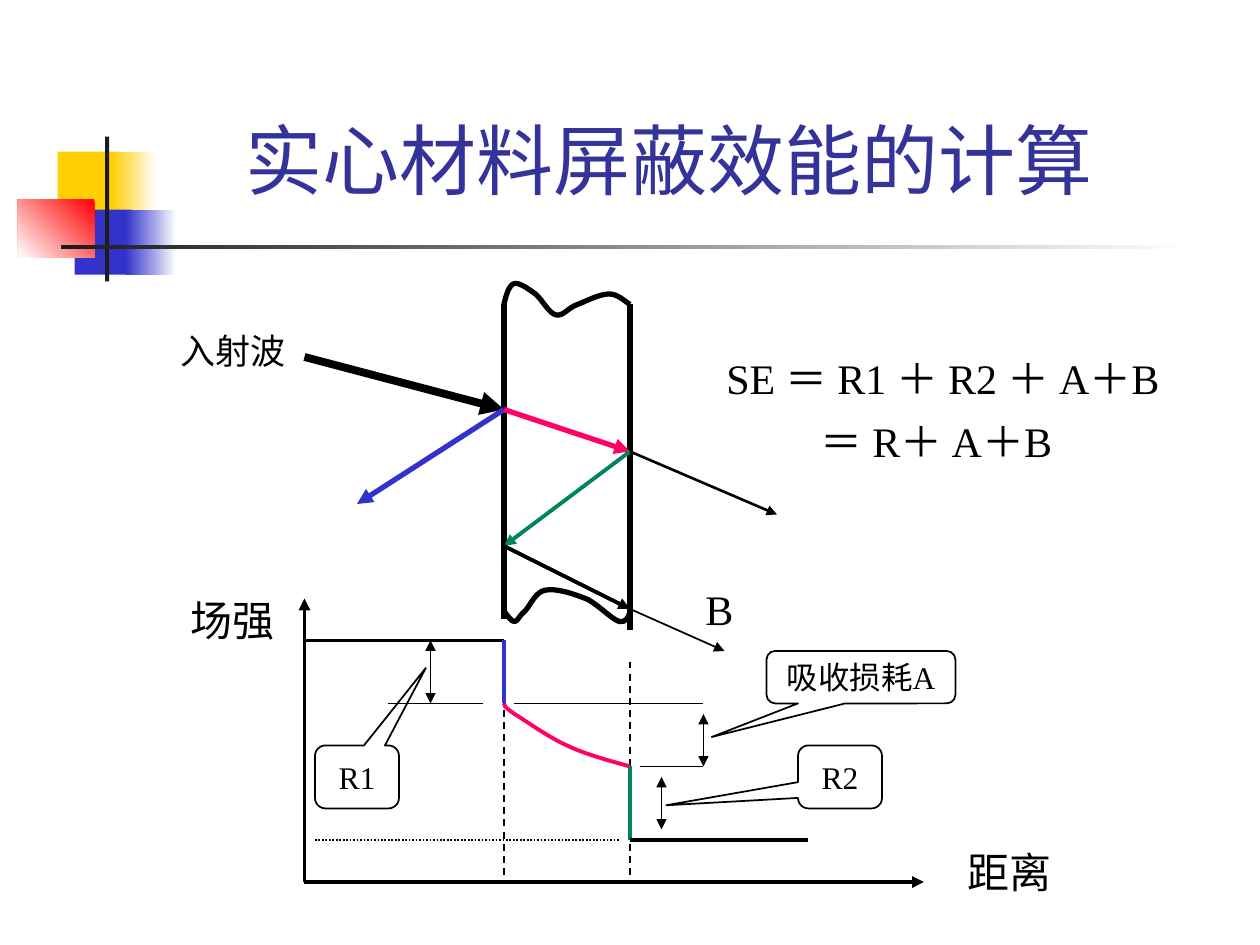
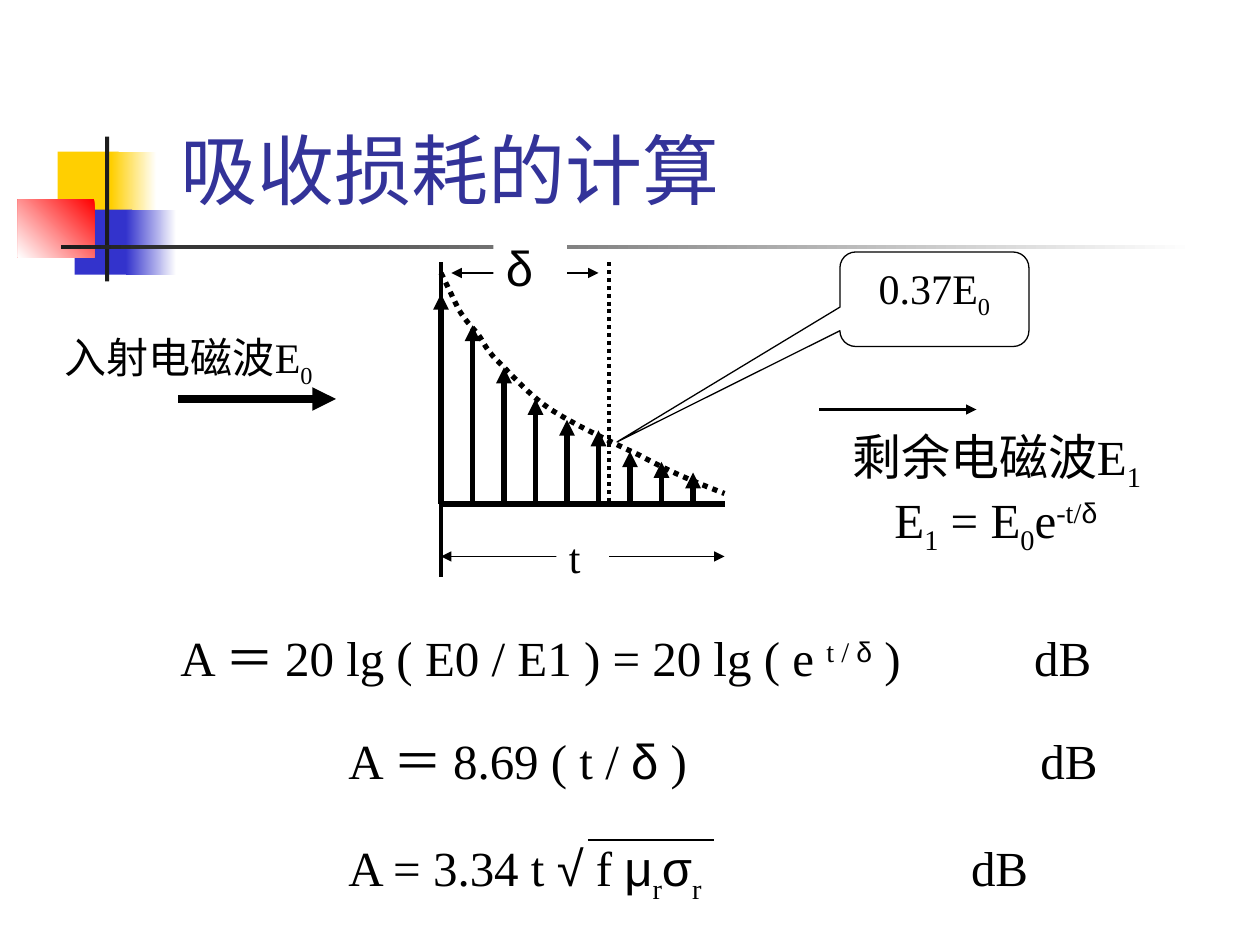
from lxml.etree import SubElement
from pptx import Presentation
from pptx.dml.color import RGBColor
from pptx.enum.dml import MSO_LINE
from pptx.enum.shapes import MSO_CONNECTOR, MSO_SHAPE
from pptx.enum.text import MSO_ANCHOR, PP_ALIGN
from pptx.oxml.ns import qn
from pptx.util import Inches, Pt

C = {
    "black": "000000", "white": "FFFFFF", "ink": "1C1C1C", "title": "333399",
    "yellow": "FFCF01", "blue": "3333CC", "red": "FF0000",
    "pink": "FF0066", "green": "008461",
}
C = {name: RGBColor.from_string(value) for name, value in C.items()}
BODY, SYMBOL, TITLE = "Times New Roman", "Arial", "Cabin"
SUB, SUP = -25000, 30000

prs = Presentation()
prs.slide_width, prs.slide_height = Inches(10), Inches(7.5)
U = prs.slide_width // 120  # the grid has 120 columns and 90 rows of square cells


def text(s, box, runs, size=24, font=BODY, color="black", fill=None, callout=None,
         border=1, anchor=MSO_ANCHOR.TOP, align=PP_ALIGN.LEFT, wrap=True, tab=None):
    """Add text in a box or callout; a run is a string or a (string, baseline) pair."""
    box = [round(v * U) for v in box]
    if callout:
        sp = s.shapes.add_shape(MSO_SHAPE.ROUNDED_RECTANGULAR_CALLOUT, *box)
        sp.shadow.inherit = False
        sp.fill.background()
        sp.adjustments[0], sp.adjustments[1] = callout
        sp.line.color.rgb = C["black"]
        sp.line.width = Pt(border)
    else:
        sp = s.shapes.add_textbox(*box)
    if fill:
        sp.fill.solid()
        sp.fill.fore_color.rgb = C[fill]
    tf = sp.text_frame
    tf.word_wrap, tf.vertical_anchor = wrap, anchor
    p = tf.paragraphs[0]
    p.alignment = align
    if tab:
        tabs = SubElement(p._p.get_or_add_pPr(), qn("a:tabLst"))
        SubElement(tabs, qn("a:tab"), pos=str(round(tab * U)), algn="l")
    for run in [runs] if isinstance(runs, str) else runs:
        words, baseline = (run, 0) if isinstance(run, str) else run
        r = p.add_run()
        r.text = words
        r.font.size = Pt(size)
        r.font.name = SYMBOL if words in "δμσ√" else font
        r.font.color.rgb = C[color]
        if baseline:
            r._r.get_or_add_rPr().set("baseline", str(baseline))


def line(s, *pts, color="black", width=1, dash=None, ends=""):
    """Join two points with a connector, or draw a chain of cubic curves."""
    pts = [(round(x * U), round(y * U)) for x, y in pts]
    if len(pts) == 2:
        sp = s.shapes.add_connector(MSO_CONNECTOR.STRAIGHT, *pts[0], *pts[1])
    else:
        builder = s.shapes.build_freeform(*pts[0])
        builder.add_line_segments(pts[1:], close=False)
        sp = builder.convert_to_shape()
        sp.fill.background()
        segments = list(sp._element.spPr.iter(qn("a:lnTo")))
        outline = segments[0].getparent()
        for i in range(0, len(segments), 3):
            curve = SubElement(outline, qn("a:cubicBezTo"))
            for segment in segments[i:i + 3]:
                curve.append(segment[0])
                outline.remove(segment)
    sp.line.color.rgb = C[color]
    sp.line.width = Pt(width)
    if dash:
        sp.line.dash_style = dash
    spPr = sp._element.spPr
    for end in ends.split():
        SubElement(spPr.find(qn("a:ln")), qn(f"a:{end}End"), type="triangle")
    SubElement(spPr, qn("a:effectLst"))


# Shared decoration and titles
DECOR = [  # box, colour, angle of the fade to white
    ((5.5, 14.45, 5.8, 6.2), "yellow", None),
    ((10.6, 14.45, 4.3, 6.2), "yellow", 0),
    ((7.1, 19.97, 5.5, 6.2), "blue", None),
    ((12, 19.97, 4.8, 6.2), "blue", 0),
    ((1.7, 19, 7.3, 5.5), "red", 225),
    ((10, 13, 0.4, 13.8), "ink", None),
    ((5.8, 23.35, 108, 0.4), "ink", 0),
]
slides = []
for title, left, top in [("实心材料屏蔽效能的计算", 22.2, 10), ("吸收损耗的计算", 16, 10.95)]:
    s = prs.slides.add_slide(prs.slide_layouts[6])
    slides.append(s)
    for box, color, angle in DECOR:
        sp = s.shapes.add_shape(MSO_SHAPE.RECTANGLE, *(round(v * U) for v in box))
        sp.shadow.inherit = False
        sp.line.fill.background()
        if angle is None:
            sp.fill.solid()
            sp.fill.fore_color.rgb = C[color]
        else:
            sp.fill.gradient()
            sp.fill.gradient_angle = angle
            for stop, shade in zip(sp.fill.gradient_stops, (color, "white")):
                stop.color.rgb = C[shade]
    text(s, (left, top, 90, 10.08), title, size=44, font=TITLE, color="title",
         anchor=MSO_ANCHOR.BOTTOM)

# Slide 1: reflections in a solid shield and the field strength below
s = slides[0]
FRONT, BACK = 48, 60  # faces of the shield
AXIS_X, AXIS_Y = 29, 84
INCOMING, ENTERED, ABSORBED, LEAVING = 61, 67, 73, 80  # field levels

line(s, (FRONT, 29), (FRONT, 59), width=3)
line(s, (BACK, 29), (BACK, 60), width=3)
line(s, (48, 29), (48.2, 28.1), (48.5, 27.1), (49, 27), (49.5, 26.9), (50.3, 27.5), (51, 28),
     (51.7, 28.6), (52.3, 29.9), (53, 30), (53.7, 30.1), (54.1, 29.3), (55, 29),
     (55.8, 28.7), (57.1, 28), (58, 28), (58.8, 28), (59.4, 28.6), (60, 29), width=3)
line(s, (48, 58.2), (48.4, 58.7), (48.7, 59.2), (49, 59.2), (49.3, 59.2), (49.4, 58.7),
     (50, 58.2), (50.5, 57.7), (51, 56.3), (52, 56.2), (53, 56), (54.8, 56.6), (56, 57.1),
     (57.1, 57.7), (58.3, 59), (59, 59.2), (59.6, 59.3), (59.9, 58.8), (60, 58.2), width=3)

for start, end, color, width in [
    ((AXIS_X, 34), (FRONT, 39), "black", 4.5),
    ((FRONT, 39), (34, 48), "blue", 3),
    ((FRONT, 39), (BACK, 43), "pink", 3),
    ((BACK, 43), (FRONT, 52), "green", 2.25),
    ((BACK, 43), (74, 49), "black", 1.5),
    ((FRONT, 52), (BACK, 58), "black", 2.25),
    ((BACK, 58), (69, 62), "black", 1),
    ((AXIS_X, AXIS_Y), (AXIS_X, 57), "black", 2.25),
    ((AXIS_X, AXIS_Y), (88, AXIS_Y), "black", 2.25),
]:
    line(s, start, end, color=color, width=width, ends="tail")

for face in (FRONT, BACK):
    line(s, (face, 63), (face, AXIS_Y), dash=MSO_LINE.DASH)
line(s, (AXIS_X, INCOMING), (FRONT, INCOMING), width=2.25)
line(s, (48, 67), (48, 67.2), (48, 67.3), (49, 68), (50, 68.6), (52.2, 70.2), (54, 71),
     (55.8, 71.9), (59, 72.7), (60, 73), color="pink", width=2.25)
line(s, (FRONT, INCOMING), (FRONT, ENTERED), color="blue", width=2.25)
line(s, (BACK, ABSORBED), (BACK, LEAVING), color="green", width=2.25)
line(s, (BACK, LEAVING), (77, LEAVING), width=2.25)
line(s, (30, LEAVING), (59, LEAVING), dash=MSO_LINE.ROUND_DOT)
for x1, x2, level in [(37, 46, ENTERED), (49, 67, ENTERED), (61, 67, ABSORBED)]:
    line(s, (x1, level), (x2, level))
for x, y1, y2 in [(41, INCOMING, ENTERED), (67, 68, ABSORBED), (63, 74, 79)]:
    line(s, (x, y1), (x, y2), ends="head tail")

for words, box, tip in [
    ("吸收损耗A", (73, 62, 18, 5), (-0.79, 1.14)),
    ("R1", (30, 71, 8, 6), (0.82, -1.73)),
    ("R2", (76, 71, 8, 6), (-2.07, 0.45)),
]:
    text(s, box, words, size=18, callout=tip, anchor=MSO_ANCHOR.MIDDLE,
         align=PP_ALIGN.CENTER, wrap=False)

text(s, (16, 30.8, 14, 5.3), "入射波", size=20)
for words, box in [
    ("场强", (17, 56, 12, 6)),
    ("距离", (91, 80, 12, 6)),
    ("SE ＝ R1 ＋ R2 ＋ A＋B", (68, 33, 46, 10.8)),
    ("＝ R＋ A＋B", (77, 39, 40, 6)),
    ("B", (66, 55, 5, 6)),
]:
    text(s, box, words)

# Slide 2: decay of the field inside the material
s = slides[1]
SURFACE, FAR, BASE, DEPTH = 42, 69, 48, 58

line(s, (17, 38), (32, 38), width=4.5, ends="tail")
line(s, (78, 39), (93, 39), width=1.5, ends="tail")
line(s, (42, 26), (42.6, 27.2), (43.2, 28.5), (43.7, 29.5), (44.3, 30.5), (44.9, 31.1),
     (45.5, 31.8), (46.1, 32.6), (46.1, 33), (47.2, 34.2), (48.4, 35.3), (50, 37.3),
     (52.3, 38.9), (54.6, 40.4), (58.2, 42.1), (61, 43.4), (63.7, 44.9), (66.4, 46),
     (69, 47), width=3, dash=MSO_LINE.ROUND_DOT)
line(s, (SURFACE, 53), (FAR, 53), ends="head tail")
text(s, (53, 50, 5, 6), "t", fill="white")
text(s, (5, 31, 31, 6.7), ["入射电磁波E", ("0", SUB)])
text(s, (80, 40, 35, 7.5), ["剩余电磁波E", ("1", SUB)], size=28)
text(s, (84, 46, 29, 7.5),
     ["E", ("1", SUB), " = E", ("0", SUB), "e", ("-t/", SUP), ("δ", SUP)], size=28)

line(s, (SURFACE, 25), (SURFACE, 55), width=2.25)
line(s, (SURFACE, BASE), (FAR, BASE), width=3)
for i, top in enumerate([28, 31, 35, 38, 40, 41, 43, 44, 45]):
    x = SURFACE + 3 * i
    line(s, (x, BASE), (x, top), width=3, ends="tail")

text(s, (80, 24, 18, 9), ["0.37E", ("0", SUB)], callout=(-1.68, 1.51), border=0.75,
     align=PP_ALIGN.CENTER)
line(s, (DEPTH, 25), (DEPTH, BASE), width=2.25, dash=MSO_LINE.ROUND_DOT)
line(s, (SURFACE + 1, 26), (DEPTH - 1, 26), width=0.75, ends="head tail")
text(s, (47, 22, 7, 6.8), "δ", size=28, fill="white")

for left, top, tab, runs in [
    (16, 59.2, 81.3, ["A ＝ 20 lg ( E0 / E1 ) = 20 lg ( e ", ("t / ", SUP), ("δ", SUP),
                      " )\tdB"]),
    (32, 68.95, 65.9, ["A ＝ 8.69 ( t / ", "δ", " )\tdB"]),
    (32, 79.2, 59.3, ["A = 3.34 t ", "√", " f ", "μ", ("r", SUB), "σ", ("r", SUB), "\tdB"]),
]:
    text(s, (left, top, 108 - left, 7), runs, size=28, tab=tab)
line(s, (56, 80), (68, 80), width=0.75)

prs.save("out.pptx")
